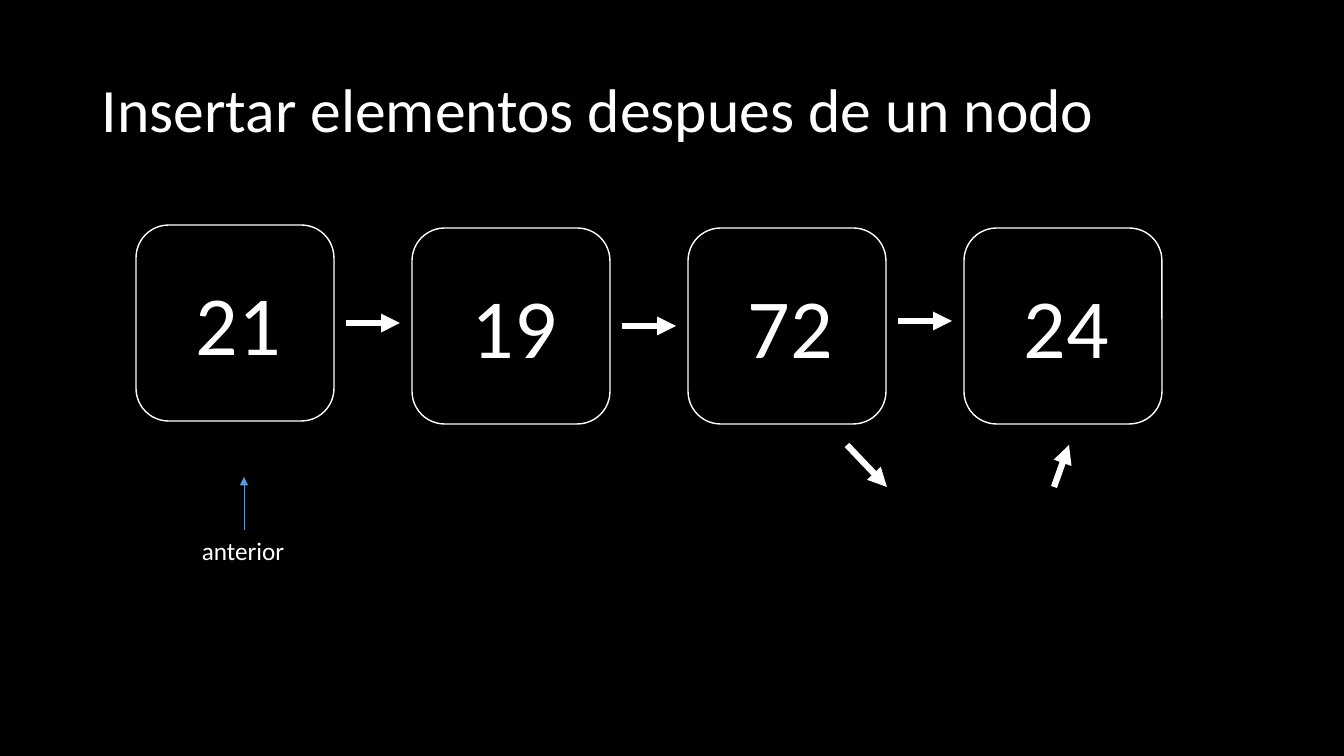
from lxml.etree import SubElement
from pptx import Presentation
from pptx.dml.color import RGBColor
from pptx.enum.shapes import MSO_CONNECTOR as Connector, MSO_SHAPE as Shape
from pptx.enum.text import MSO_ANCHOR as Anchor, PP_ALIGN as Align
from pptx.oxml.ns import qn
from pptx.util import Pt

EMU_PER_PX = 12192000 / 1344
WHITE, BLACK, BLUE = "FFFFFF", "000000", "5B9BD5"


def px(*lengths):
    return [round(length * EMU_PER_PX) for length in lengths]


def color(hex_text):
    return RGBColor.from_string(hex_text)


def write(box, text, size=18, font="Calibri", ink=WHITE, align=Align.LEFT,
          anchor=Anchor.TOP, wrap=True, spacing=1.0):
    frame = box.text_frame
    frame.word_wrap = wrap
    frame.vertical_anchor = anchor
    para = frame.paragraphs[0]
    para.alignment = align
    para.line_spacing = spacing
    span = para.add_run()
    span.text = text
    span.font.size = Pt(size)
    span.font.name = font
    span.font.color.rgb = color(ink)


class Painter:
    """Holds the current slide and its common line style."""

    def __init__(self, page, ink=WHITE):
        self.page = page
        self.ink = ink
        fill = page.background.fill
        fill.solid()
        fill.fore_color.rgb = color(BLACK)

    def text(self, left, top, width, height, text, **style):
        box = self.page.shapes.add_textbox(*px(left, top, width, height))
        write(box, text, **style)

    def frame(self, left, top, width, height):
        box = self.page.shapes.add_shape(
            Shape.ROUNDED_RECTANGLE, *px(left, top, width, height))
        box.shadow.inherit = False
        box.fill.background()
        box.line.color.rgb = color(self.ink)
        box.line.width = Pt(1)

    def arrow(self, x1, y1, x2, y2, ink=None, weight=4.5):
        arrow = self.page.shapes.add_connector(
            Connector.STRAIGHT, *px(x1, y1, x2, y2))
        arrow.line.color.rgb = color(ink or self.ink)
        arrow.line.width = Pt(weight)
        SubElement(arrow.line._get_or_add_ln(), qn("a:tailEnd"), type="triangle")
        SubElement(arrow._element.spPr, qn("a:effectLst"))

    def node(self, left, top, value):
        self.text(left + 50, top + 42, 136, 112, value, size=60)
        self.frame(left, top, 198, 196)


def main():
    deck = Presentation()
    deck.slide_width, deck.slide_height = px(1344, 756)
    painter = Painter(deck.slides.add_slide(deck.slide_layouts[6]))

    # Title
    painter.text(92, 40, 1160, 146, "Insertar elementos despues de un nodo",
                 size=44, anchor=Anchor.MIDDLE, spacing=0.9)

    # Linked nodes
    first_left, pitch = 136, 276
    nodes = [("21", 225), ("19", 228), ("72", 228), ("24", 228)]
    for index, (value, top) in enumerate(nodes):
        painter.node(first_left + index * pitch, top, value)

    # Links between the nodes
    for index, level in enumerate([323, 326, 321]):
        start = first_left + index * pitch + 210
        painter.arrow(start, level, start + 54, level)

    # Pointer to the previous node
    painter.text(192, 530, 104, 40, "anterior", wrap=False)
    painter.arrow(244, 530, 244, 477, ink=BLUE, weight=0.5)

    # Links to and from the place of insertion
    painter.arrow(1054, 487, 1069, 445)
    painter.arrow(847, 445, 887, 487)

    deck.save("out.pptx")


if __name__ == "__main__":
    main()
